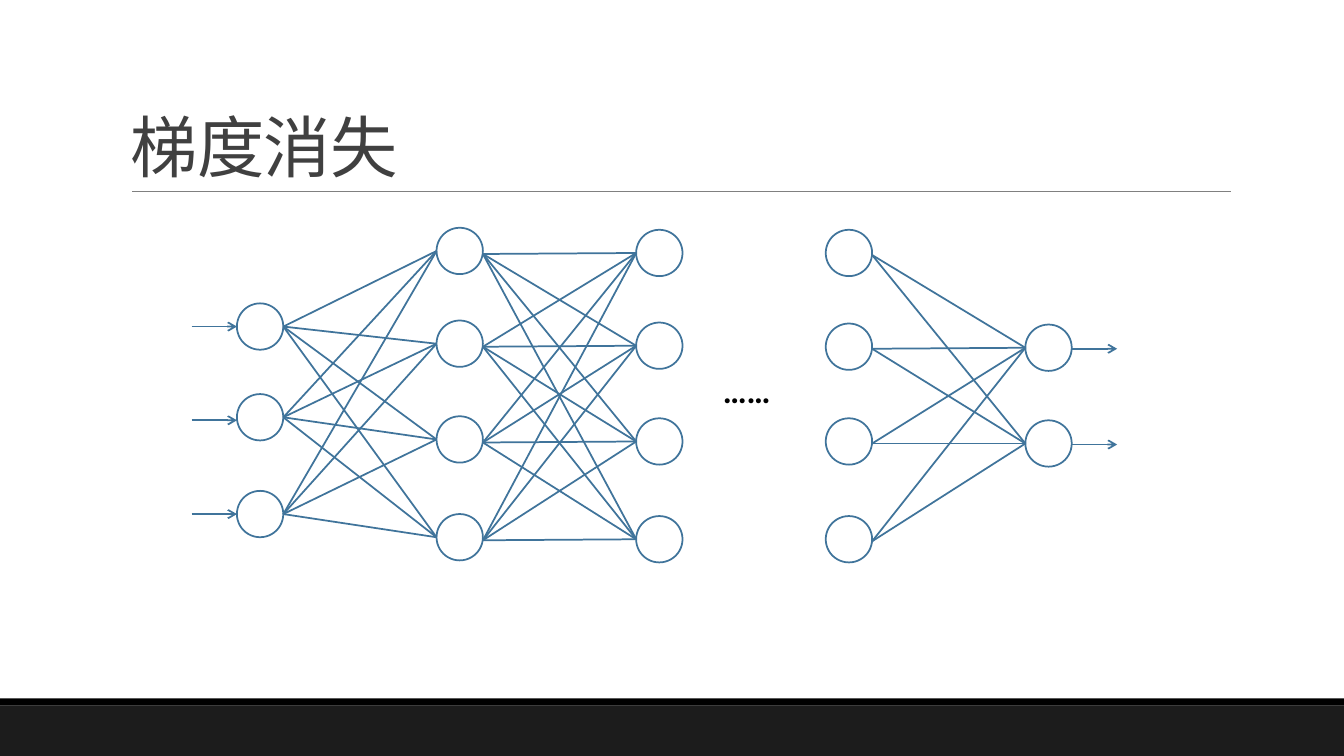
import dataclasses
import itertools

import lxml.etree
import pptx
import pptx.dml.color
import pptx.enum.shapes
import pptx.enum.text
import pptx.oxml.ns
import pptx.util

Inches = pptx.util.Inches
Pt = pptx.util.Pt
SHAPES = pptx.enum.shapes.MSO_SHAPE

COLORS = {
    "paper": "FFFFFF",
    "network": "40749B",
    "title": "404040",
    "rule": "808080",
    "footer": "1C1C1C",
    "black": "000000",
}
FONT = "Calibri"
NEURON_SIZE = 0.46
NETWORK_WIDTH = 1.25


@dataclasses.dataclass
class Layer:
    left: float
    tops: list[float]
    entry_drop: float = 0.23  # from a neuron's top to its incoming lines
    exit_drop: float = 0.23  # from a neuron's top to its outgoing lines

    def entries(self) -> list[tuple[float, float]]:
        return [(self.left, top + self.entry_drop) for top in self.tops]

    def exits(self) -> list[tuple[float, float]]:
        return [(self.left + NEURON_SIZE, top + self.exit_drop) for top in self.tops]


@dataclasses.dataclass
class Arrow:
    left: float
    y: float
    length: float = 0.45


@dataclasses.dataclass
class Label:
    text: str
    place: tuple[float, float, float, float]
    size: float
    color: str
    bold: bool = False
    wrap: bool = True
    bottom: bool = False
    line_spacing: float = 1.0
    tracking: int = 0  # hundredths of a point


INPUT = Layer(2.35, [3.01, 3.91, 4.87])
HIDDEN_1 = Layer(4.33, [2.26, 3.18, 4.13, 5.10], exit_drop=0.26)
HIDDEN_2 = Layer(6.31, [2.28, 3.20, 4.15, 5.12])
HIDDEN_LAST = Layer(8.19, [2.28, 3.21, 4.15, 5.12], exit_drop=0.25)
OUTPUT = Layer(10.17, [3.22, 4.17])
LAYERS = [INPUT, HIDDEN_1, HIDDEN_2, HIDDEN_LAST, OUTPUT]
LINKS = [(INPUT, HIDDEN_1), (HIDDEN_1, HIDDEN_2), (HIDDEN_LAST, OUTPUT)]

ARROWS = [Arrow(1.9, y) for y in (3.24, 4.17, 5.10)]
ARROWS += [Arrow(10.63, y) for y in (3.46, 4.41)]

LABELS = [
    Label("梯度消失", (1.2, 0.31, 11, 1.59), 48, "title",
          bottom=True, line_spacing=0.85, tracking=-50),
    Label("……", (7.07, 3.62, 0.68, 0.5), 24, "black", bold=True, wrap=False),
]


def rgb(name: str) -> pptx.dml.color.RGBColor:
    return pptx.dml.color.RGBColor.from_string(COLORS[name])


def add_filled(page, kind, place: tuple[float, float, float, float], fill: str):
    shape = page.shapes.add_shape(kind, *map(Inches, place))
    shape.shadow.inherit = False
    shape.fill.solid()
    shape.fill.fore_color.rgb = rgb(fill)
    shape.line.fill.background()
    return shape


def add_line(page, start: tuple[float, float], end: tuple[float, float],
             color: str = "network", width: float = NETWORK_WIDTH):
    line = page.shapes.add_connector(
        pptx.enum.shapes.MSO_CONNECTOR.STRAIGHT, *map(Inches, start + end))
    line.line.color.rgb = rgb(color)
    line.line.width = Pt(width)
    lxml.etree.SubElement(line._element.spPr, pptx.oxml.ns.qn("a:effectLst"))
    return line


def add_arrow(page, arrow: Arrow) -> None:
    line = add_line(page, (arrow.left, arrow.y), (arrow.left + arrow.length, arrow.y))
    outline = line._element.spPr.find(pptx.oxml.ns.qn("a:ln"))
    lxml.etree.SubElement(outline, pptx.oxml.ns.qn("a:tailEnd"), type="arrow")


def add_neurons(page, layer: Layer) -> None:
    for top in layer.tops:
        place = (layer.left, top, NEURON_SIZE, NEURON_SIZE)
        neuron = add_filled(page, SHAPES.OVAL, place, "paper")
        neuron.line.color.rgb = rgb("network")
        neuron.line.width = Pt(NETWORK_WIDTH)


def add_label(page, label: Label) -> None:
    box = page.shapes.add_textbox(*map(Inches, label.place))
    frame = box.text_frame
    frame.word_wrap = label.wrap
    if label.bottom:
        frame.vertical_anchor = pptx.enum.text.MSO_ANCHOR.BOTTOM
    frame.text = label.text
    para = frame.paragraphs[0]
    para.line_spacing = label.line_spacing
    span = para.runs[0]
    span.font.name = FONT
    span.font.size = Pt(label.size)
    span.font.bold = label.bold
    span.font.color.rgb = rgb(label.color)
    if label.tracking:
        span.font._element.set("spc", str(label.tracking))


def main() -> None:
    deck = pptx.Presentation()
    deck.slide_width, deck.slide_height = Inches(13.33), Inches(7.5)
    page = deck.slides.add_slide(deck.slide_layouts[6])

    # Footer bands and title rule
    add_filled(page, SHAPES.RECTANGLE, (0, 7, 13.33, 0.5), "footer")
    add_filled(page, SHAPES.RECTANGLE, (0, 6.93, 13.33, 0.07), "black")
    add_line(page, (1.31, 1.9), (12.21, 1.9), "rule", 0.5)

    # Neurons and the full connections between neighbouring layers
    for layer in LAYERS:
        add_neurons(page, layer)
    for source, target in LINKS:
        for start, end in itertools.product(source.exits(), target.entries()):
            add_line(page, start, end)

    # Inputs and outputs
    for arrow in ARROWS:
        add_arrow(page, arrow)

    # Title and ellipsis
    for label in LABELS:
        add_label(page, label)

    deck.save("out.pptx")


if __name__ == "__main__":
    main()
